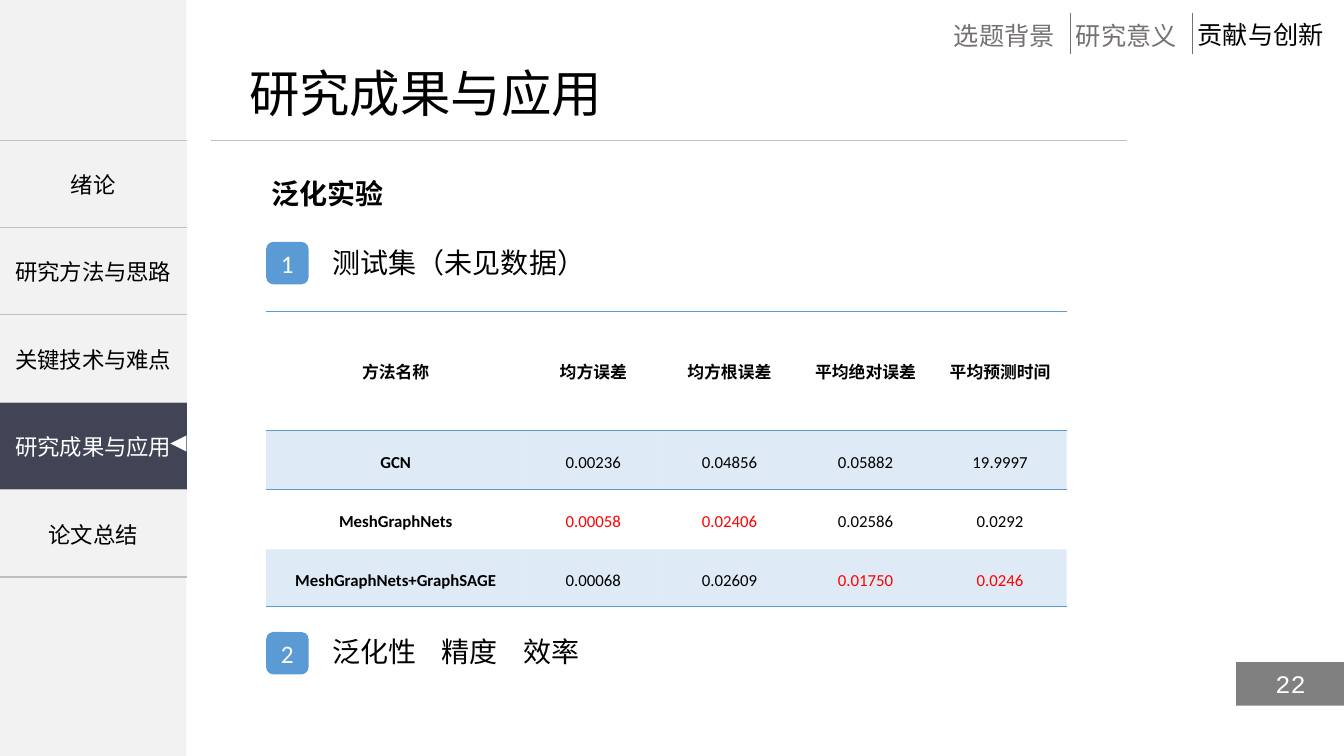
from typing import NamedTuple

from lxml.etree import SubElement
from pptx import Presentation
from pptx.dml.color import RGBColor
from pptx.enum.shapes import MSO_CONNECTOR, MSO_SHAPE as Preset
from pptx.enum.text import MSO_ANCHOR as Anchor, MSO_AUTO_SIZE as AutoSize, PP_ALIGN as Align
from pptx.oxml.ns import qn
from pptx.util import Inches, Pt

COLORS = {
    "panel": "F2F2F2", "rule": "BFBFBF", "active": "414455", "muted": "767171",
    "badge": "5B9BD5", "page_number": "808080", "best": "FF0000",
    "black": "000000", "white": "FFFFFF",
}
CJK = "Noto Sans CJK SC"
NO_TABLE_STYLE = "{2D5ABB26-0587-4C30-8999-92F81FD0307C}"


class Box(NamedTuple):
    left: float
    top: float
    width: float
    height: float

    def emu(self) -> list:
        return [Inches(length) for length in self]


class Rule(NamedTuple):
    start: tuple
    end: tuple
    color: str


class Label(NamedTuple):
    text: str
    box: Box
    size: int
    color: str = "black"
    bold: bool = False
    wrap: bool = False
    tabs: tuple = ()


class Badge(NamedTuple):
    text: str
    top: float


SECTIONS = ["绪论", "研究方法与思路", "关键技术与难点", "研究成果与应用", "论文总结"]
ACTIVE_SECTION = "研究成果与应用"
RULES = [Rule((2.09, 1.39), (11.18, 1.39), "rule")] + [
    Rule((x, 0.13), (x, 0.54), "muted") for x in (10.62, 11.83)
]
LABELS = [
    Label("研究成果与应用", Box(2.42, 0.57, 3.61, 0.79), 36),
    Label("选题背景", Box(9.41, 0.15, 1.11, 0.4), 18, "muted"),
    Label("研究意义", Box(10.62, 0.15, 1.11, 0.4), 18, "muted"),
    Label("贡献与创新", Box(11.83, 0.14, 1.36, 0.4), 18),
    Label("泛化实验", Box(2.64, 1.7, 1.23, 0.44), 20, bold=True),
    Label("测试集（未见数据）", Box(3.25, 2.39, 3.94, 0.44), 20, wrap=True),
    Label("\t".join(["泛化性", "精度", "效率"]), Box(3.25, 6.25, 3.94, 0.44), 20,
          wrap=True, tabs=(1.08, 1.89)),
]
BADGES = [Badge("1", 2.4), Badge("2", 6.27)]
RESULTS = [
    ["方法名称", "均方误差", "均方根误差", "平均绝对误差", "平均预测时间"],
    ["GCN", "0.00236", "0.04856", "0.05882", "19.9997"],
    ["MeshGraphNets", "0.00058", "0.02406", "0.02586", "0.0292"],
    ["MeshGraphNets+GraphSAGE", "0.00068", "0.02609", "0.01750", "0.0246"],
]
BEST = {"0.00058", "0.02406", "0.01750", "0.0246"}


def rgb(name: str) -> RGBColor:
    return RGBColor.from_string(COLORS[name])


def write_text(holder, text: str, *, size: int, color: str = "black", font: str = CJK,
               bold: bool = False, align=Align.LEFT, anchor=Anchor.TOP,
               inset: tuple = (0.05, 0.05), spacing=None, tabs: tuple = ()) -> None:
    """Fill a text frame or a table cell with one formatted paragraph."""
    holder.margin_left = holder.margin_right = Inches(inset[0])
    holder.margin_top = holder.margin_bottom = Inches(inset[1])
    holder.vertical_anchor = anchor
    para = getattr(holder, "text_frame", holder).paragraphs[0]
    para.alignment = align
    if spacing:
        para.line_spacing = spacing
    if tabs:
        tab_list = SubElement(para._p.get_or_add_pPr(), qn("a:tabLst"))
        for stop in tabs:
            SubElement(tab_list, qn("a:tab"), pos=str(Inches(stop)), algn="l")
    span = para.add_run()
    span.text = text
    span.font.name, span.font.size, span.font.bold = font, Pt(size), bold
    span.font.color.rgb = rgb(color)
    SubElement(span._r.get_or_add_rPr(), qn("a:ea"), typeface=CJK)


def add_block(page, preset, box: Box, fill: str):
    block = page.shapes.add_shape(preset, *box.emu())
    block.shadow.inherit = False
    block.fill.solid()
    block.fill.fore_color.rgb = rgb(fill)
    block.line.fill.background()
    return block


def add_rule(page, rule: Rule) -> None:
    line = page.shapes.add_connector(
        MSO_CONNECTOR.STRAIGHT, *[Inches(v) for v in rule.start + rule.end])
    line.line.color.rgb = rgb(rule.color)
    line.line.width = Pt(0.5)
    SubElement(line._element.spPr, qn("a:effectLst"))


def add_label(page, label: Label) -> None:
    frame = page.shapes.add_textbox(*label.box.emu()).text_frame
    frame.word_wrap = label.wrap
    frame.auto_size = AutoSize.SHAPE_TO_FIT_TEXT
    write_text(frame, label.text, size=label.size, color=label.color,
               bold=label.bold, tabs=label.tabs)


def add_badge(page, badge: Badge) -> None:
    block = add_block(page, Preset.ROUNDED_RECTANGLE, Box(2.64, badge.top, 0.42, 0.42), "badge")
    write_text(block.text_frame, badge.text, size=18, color="white", font="Calibri",
               align=Align.CENTER, anchor=Anchor.MIDDLE)


def add_plain_table(page, left: float, top: float, widths: list, heights: list):
    box = Box(left, top, sum(widths), sum(heights))
    table = page.shapes.add_table(len(heights), len(widths), *box.emu()).table
    table.first_row = table.horz_banding = False
    table._tbl.tblPr.find(qn("a:tableStyleId")).text = NO_TABLE_STYLE
    for column, width in zip(table.columns, widths):
        column.width = Inches(width)
    for row, height in zip(table.rows, heights):
        row.height = Inches(height)
    return table


def style_cell(cell, edges: str, edge_color: str, fill: str = "", opacity: int = 100) -> None:
    """Draw the named edges (T, B), then fill the cell or leave it clear."""
    props = cell._tc.get_or_add_tcPr()
    for edge in edges:
        line = SubElement(props, qn(f"a:ln{edge}"), w=str(Pt(1)))
        SubElement(SubElement(line, qn("a:solidFill")), qn("a:srgbClr"), val=COLORS[edge_color])
    if not fill:
        cell.fill.background()
        return
    cell.fill.solid()
    cell.fill.fore_color.rgb = rgb(fill)
    if opacity < 100:
        color = props.find(qn("a:solidFill")).find(qn("a:srgbClr"))
        SubElement(color, qn("a:alpha"), val=str(opacity * 1000))


def add_navigation(page) -> None:
    add_block(page, Preset.RECTANGLE, Box(0, 0, 1.85, 7.5), "panel")
    table = add_plain_table(page, 0, 1.39, [1.85], [0.867] * len(SECTIONS))
    for row, section in enumerate(SECTIONS):
        active = section == ACTIVE_SECTION
        cell = table.cell(row, 0)
        style_cell(cell, "TB", "rule", "active" if active else "panel")
        write_text(cell, section, size=16, color="white" if active else "black",
                   align=Align.CENTER, anchor=Anchor.MIDDLE)
    marker = add_block(page, Preset.ISOSCELES_TRIANGLE, Box(1.69, 4.32, 0.16, 0.16), "white")
    marker.rotation = 270


def add_results(page) -> None:
    table = add_plain_table(page, 2.64, 3.09, [2.57, 1.35, 1.35, 1.35, 1.32],
                            [1.18, 0.59, 0.59, 0.57])
    edges = {0: "TB", 1: "T", len(RESULTS) - 1: "B"}
    for row, values in enumerate(RESULTS):
        for column, value in enumerate(values):
            cell = table.cell(row, column)
            style_cell(cell, edges.get(row, ""), "badge", "badge" if row % 2 else "", 20)
            write_text(cell, value, size=12, color="best" if value in BEST else "black",
                       font="Calibri", bold=row == 0 or column == 0, align=Align.CENTER,
                       anchor=Anchor.MIDDLE, inset=(0.07, 0), spacing=Pt(18))


def add_page_number(page) -> None:
    block = add_block(page, Preset.RECTANGLE, Box(12.26, 6.57, 1.08, 0.43), "page_number")
    write_text(block.text_frame, "22", size=18, color="white", font="Courier New",
               align=Align.CENTER, anchor=Anchor.MIDDLE)


def main() -> None:
    deck = Presentation()
    deck.slide_width, deck.slide_height = Inches(13.33), Inches(7.5)
    page = deck.slides.add_slide(deck.slide_layouts[6])
    add_navigation(page)
    for rule in RULES:
        add_rule(page, rule)
    for label in LABELS:
        add_label(page, label)
    add_page_number(page)
    add_results(page)
    for badge in BADGES:
        add_badge(page, badge)
    deck.save("out.pptx")


if __name__ == "__main__":
    main()
